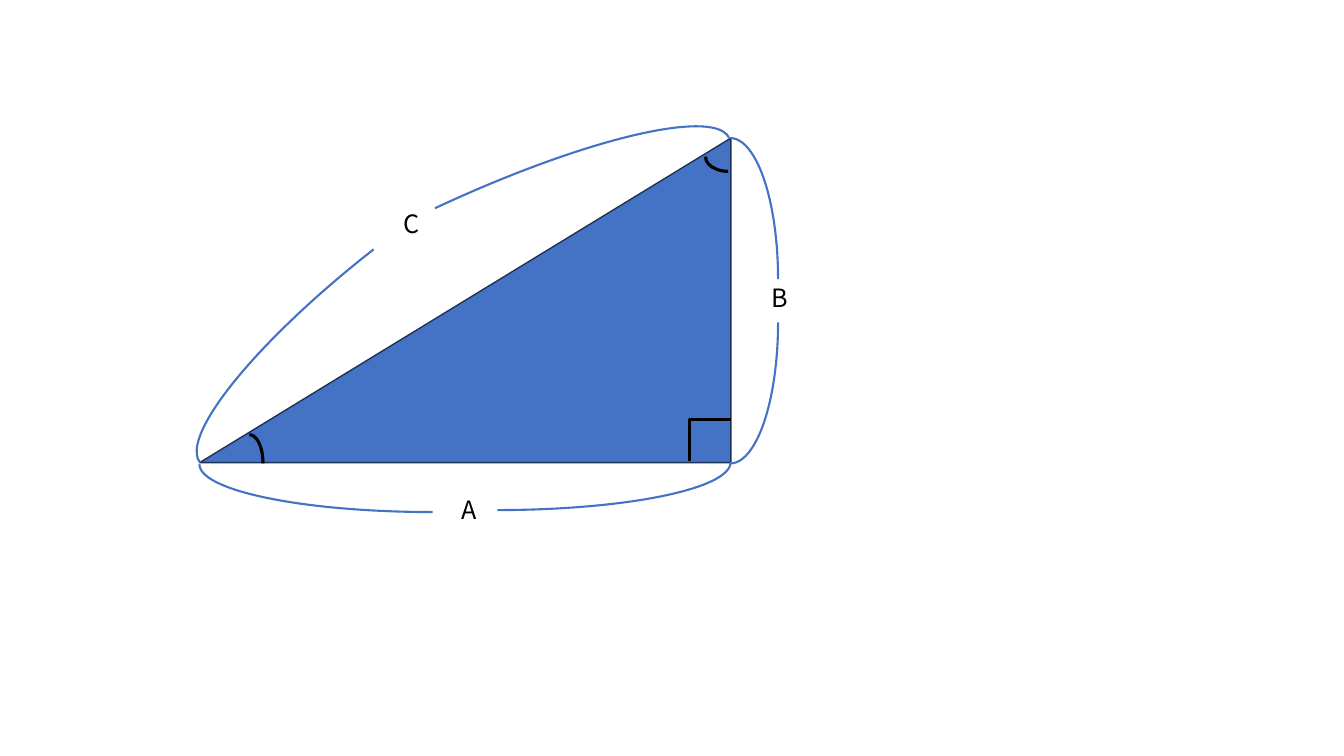
from lxml import etree
from pptx import Presentation
from pptx import util as u
from pptx.dml.color import RGBColor
from pptx.enum import shapes, text
from pptx.oxml import ns

BLUE, NAVY, BLACK = "4472C4", "1E3256", "000000"


def colour(value):
    return RGBColor.from_string(value)


class TriangleSlide:
    """Draw a labelled right triangle on one slide."""

    font = "Noto Sans CJK KR"
    size = 18

    def __init__(self, deck):
        self.slide = deck.slides.add_slide(deck.slide_layouts[6])

    def outline(self, item, value, width):
        item.line.color.rgb = colour(value)
        item.line.width = u.Pt(width)

    def shape(self, kind, area):
        shape = self.slide.shapes.add_shape(kind, *map(u.Cm, area))
        shape.shadow.inherit = False
        return shape

    def triangle(self, area):
        shape = self.shape(shapes.MSO_SHAPE.ISOSCELES_TRIANGLE, area)
        shape.adjustments[0] = 1
        shape.fill.solid()
        shape.fill.fore_color.rgb = colour(BLUE)
        self.outline(shape, NAVY, 1)

    def arc(self, area, flip="", rotation=0, end=0, value=BLUE, width=1.5):
        shape = self.shape(shapes.MSO_SHAPE.ARC, area)
        shape.adjustments[0] = 162
        shape.adjustments[1] = end
        shape.rotation = rotation
        for axis in flip:
            shape.element.spPr.xfrm.set("flip" + axis, "1")
        shape.fill.background()
        self.outline(shape, value, width)

    def label(self, wording, left, top):
        box = self.slide.shapes.add_textbox(*map(u.Cm, (left, top, 1.47, 1.02)))
        frame = box.text_frame
        frame.word_wrap = True
        frame.auto_size = text.MSO_AUTO_SIZE.SHAPE_TO_FIT_TEXT
        para = frame.paragraphs[0]
        span = para.add_run()
        span.text = wording
        span.font.name = self.font
        span.font.size = u.Pt(self.size)
        span.font.color.rgb = colour(BLACK)

    def right_angle(self, start, end):
        corner = self.slide.shapes.add_connector(
            shapes.MSO_CONNECTOR.ELBOW, *map(u.Cm, start + end))
        guides = corner.element.xpath(".//a:avLst")[0]
        etree.SubElement(guides, ns.qn("a:gd"), name="adj1", fmla="val 100000")
        self.outline(corner, BLACK, 2.25)
        etree.SubElement(corner.element.spPr, ns.qn("a:effectLst"))


def main():
    deck = Presentation()
    deck.slide_width, deck.slide_height = u.Cm(33.87), u.Cm(19.05)
    page = TriangleSlide(deck)

    page.triangle((5.03, 3.48, 13.39, 8.18))

    page.arc((17.2, 3.48, 2.41, 7.11))
    page.arc((17.2, 4.57, 2.41, 7.11), "V")
    page.arc((8.79, 0.81, 3.05, 13.41), rotation=231.9, end=1.17)
    page.arc((10.13, -0.81, 3.05, 14.83), "H", 65, 1.17)
    page.arc((9.7, 5.82, 2.41, 11.76), "V", 90)
    page.arc((11.33, 5.77, 2.41, 11.76), "HV", 270)

    for wording, left, top in (("A", 11.38, 12.34), ("B", 19.2, 6.99), ("C", 9.91, 5.13)):
        page.label(wording, left, top)

    page.arc((5.94, 10.95, 0.69, 1.45), value=BLACK, width=2.25)
    page.right_angle((18.42, 10.57), (17.37, 11.63))
    page.arc((17.78, 3.58, 1.14, 0.74), "HV", value=BLACK, width=2.25)

    deck.save("out.pptx")


if __name__ == "__main__":
    main()
